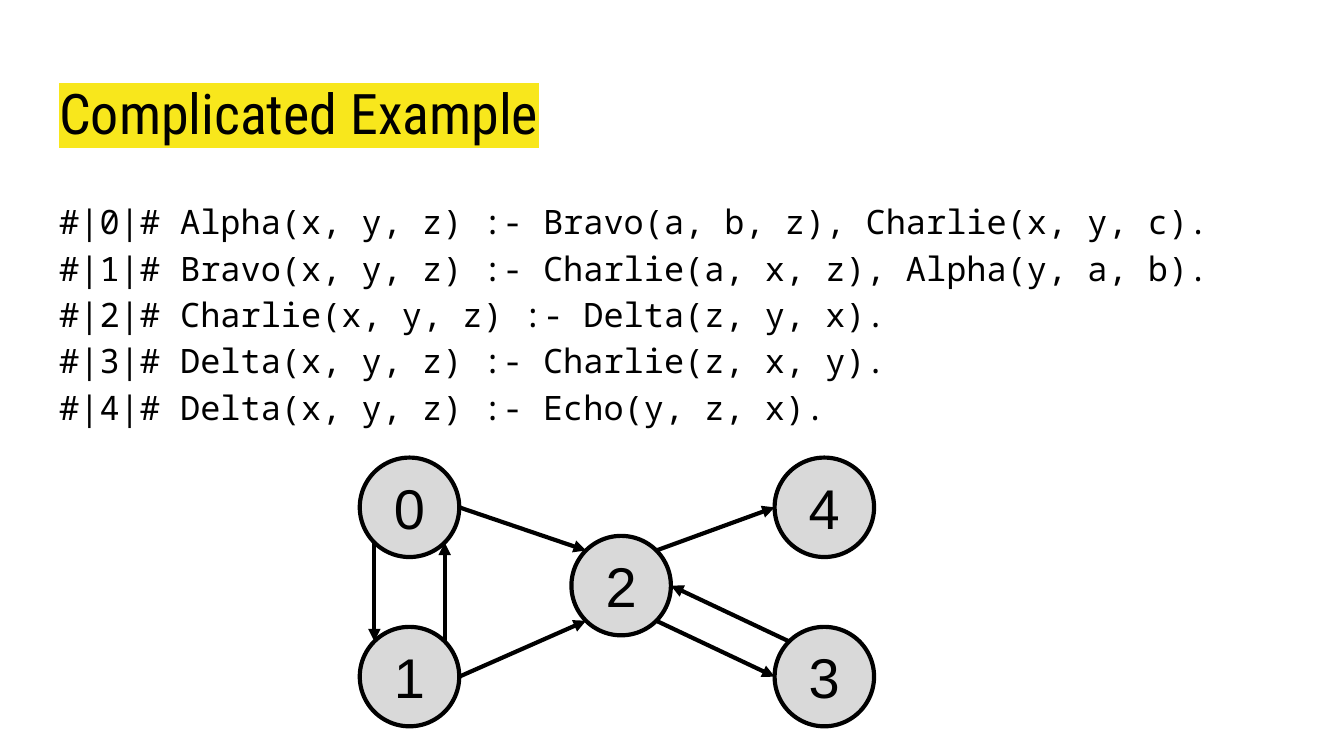
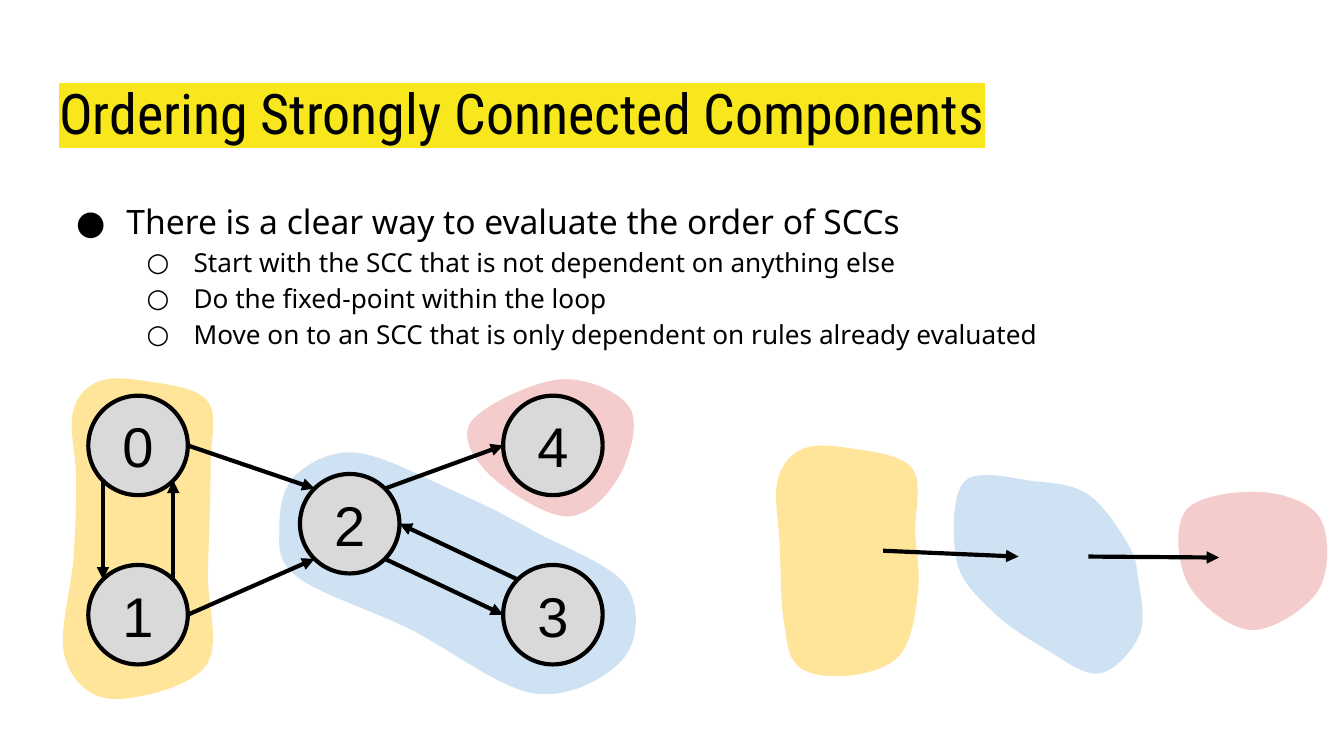
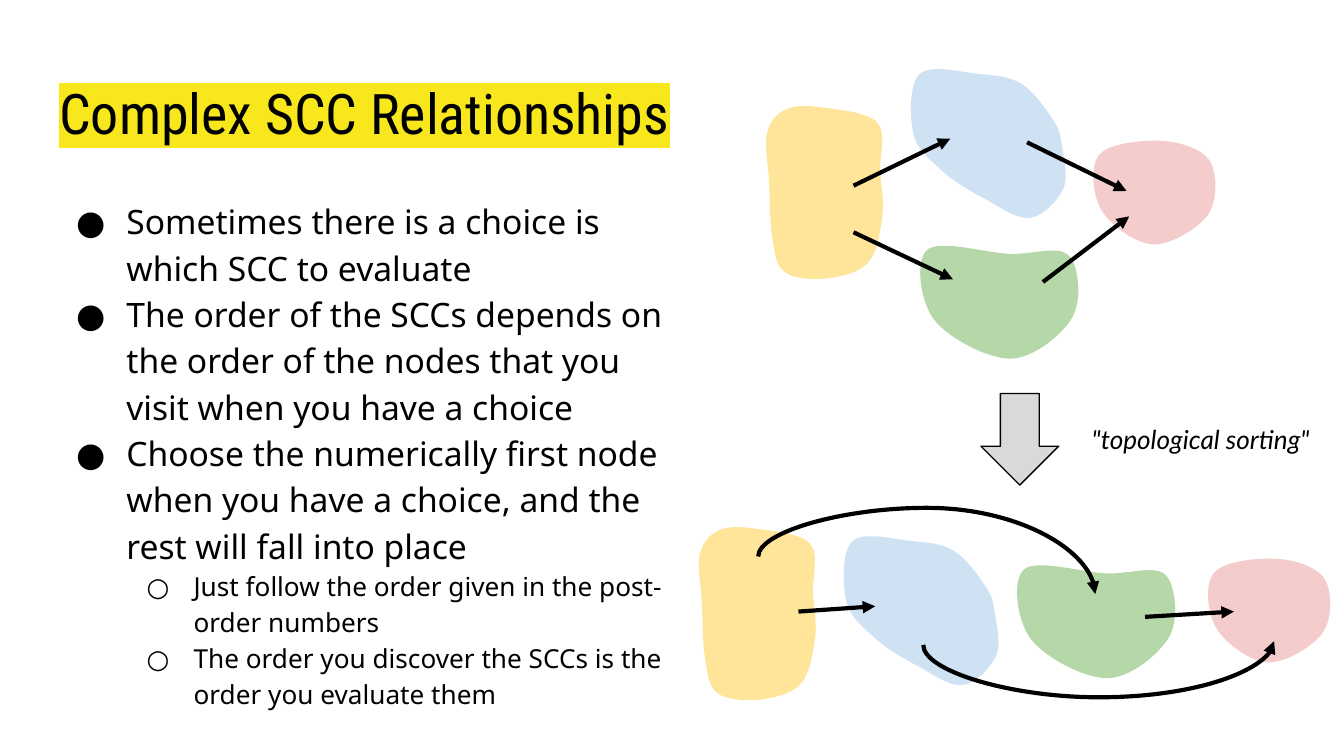
"""Build three slides on ordering strongly connected components."""
import math
from dataclasses import dataclass
from typing import NamedTuple

import pptx
import pptx.dml.color
import pptx.enum.shapes
import pptx.enum.text
import pptx.oxml.ns
import pptx.util
from pptx.util import Cm

ALIGN = pptx.enum.text.PP_ALIGN
ANCHOR = pptx.enum.text.MSO_ANCHOR
SHAPE = pptx.enum.shapes.MSO_SHAPE
CONNECTOR = pptx.enum.shapes.MSO_CONNECTOR
qn = pptx.oxml.ns.qn


@dataclass(frozen=True)
class Theme:
    ink: str = "000000"
    highlight: str = "F8E71C"
    gray: str = "D9D9D9"
    yellow: str = "FFE599"
    blue: str = "CFE2F3"
    pink: str = "F4CCCC"
    green: str = "B6D7A8"
    title_font: str = "Roboto Condensed"
    body_font: str = "Noto Sans"
    code_font: str = "Noto Sans Mono"
    node_font: str = "Arial"
    caption_font: str = "Lato"
    title_size: float = 30
    body_size: float = 18
    small_size: float = 14
    thick: float = 2.25
    thin: float = 0.75


THEME = Theme()


class Point(NamedTuple):
    x: float
    y: float


class Box(NamedTuple):
    left: float
    top: float
    width: float
    height: float


class Bullet(NamedTuple):
    mark: str
    size: float
    margin: float
    hanging: float


class Item(NamedTuple):
    text: str
    level: int = 0


class Edge(NamedTuple):
    source: int
    source_angle: float
    target: int
    target_angle: float


class Arrow(NamedTuple):
    start: Point
    end: Point


class Arc(NamedTuple):
    start: Point
    end: Point
    bulge: float


class Curve(NamedTuple):
    start: Point
    first_control: Point
    second_control: Point
    end: Point


class Outline(NamedTuple):
    color: str
    anchors: list[tuple[float, float]]


class Blob(NamedTuple):
    outline: Outline
    left: float
    top: float


TITLE_BOX = Box(0.87, 1.24, 23.67, 1.6)
BODY_LEFT, BODY_TOP = 0.87, 3.44
BULLETS = [
    Bullet("●", THEME.body_size, 1.27, 0.95),
    Bullet("○", THEME.small_size, 2.54, 0.89),
]

NODE_DIAMETER = 1.88
NODES = [Point(0, 0), Point(0, 3.2), Point(4, 1.48), Point(7.84, 3.2), Point(7.84, 0)]
RIGHT, LOWER_RIGHT, LOWER_LEFT, LEFT, UPPER_LEFT, UPPER_RIGHT = 0, 45, 135, 180, 225, 315
EDGES = [
    Edge(2, UPPER_RIGHT, 4, LEFT),
    Edge(1, RIGHT, 2, LOWER_LEFT),
    Edge(0, RIGHT, 2, UPPER_LEFT),
    Edge(0, LOWER_LEFT, 1, UPPER_LEFT),
    Edge(1, UPPER_RIGHT, 0, LOWER_RIGHT),
    Edge(2, LOWER_RIGHT, 3, LEFT),
    Edge(3, UPPER_LEFT, 2, RIGHT),
]

GROUP_4 = Outline(THEME.pink, [
    (0.08, 0.81), (0.38, 1.8), (1.85, 2.62), (2.84, 1.9), (3.07, 0.58), (1.75, 0.03)])
GROUP_2_3 = Outline(THEME.blue, [
    (0, 1.4), (0.3, 0.43), (1.47, 0), (3.38, 0.76), (4.85, 1.5),
    (6.55, 2.51), (6.5, 3.89), (4.83, 4.55), (2.46, 3.33), (0.33, 2.34)])
GROUP_0_1 = Outline(THEME.yellow, [
    (0.61, 0.1), (0.18, 0.69), (0.25, 1.93), (0.2, 3.4), (0.03, 5.26), (0.91, 6.07),
    (2.69, 5.46), (2.74, 3.68), (2.79, 1.68), (2.72, 0.43), (1.45, 0.05)])
PINK = Outline(THEME.pink, [
    (0.13, 0.38), (0.18, 1.78), (1.37, 2.64), (2.64, 1.88), (2.67, 0.53), (1.55, 0.03)])
BLUE = Outline(THEME.blue, [
    (0.05, 1.63), (0.2, 0.13), (1.55, 0.13), (2.54, 0.38), (3.28, 1.3),
    (3.48, 1.96), (3.51, 3.02), (2.74, 3.76), (1.7, 3.28), (0.71, 2.57)])
YELLOW = Outline(THEME.yellow, [
    (0.46, 0.08), (0.03, 0.69), (0.08, 1.9), (0.15, 3.28), (0.43, 4.17), (1.4, 4.34),
    (2.36, 3.94), (2.69, 2.77), (2.64, 1.65), (2.57, 0.41), (1.3, 0.03)])
GREEN = Outline(THEME.green, [
    (0.15, 0.1), (0.31, 1.86), (2.08, 2.84), (3.5, 1.79), (3.41, 0.24), (2.04, 0.2)])
REDUCED = Point(0.82, 0.75)

RULES = [
    "#|0|# Alpha(x, y, z) :- Bravo(a, b, z), Charlie(x, y, c).",
    "#|1|# Bravo(x, y, z) :- Charlie(a, x, z), Alpha(y, a, b).",
    "#|2|# Charlie(x, y, z) :- Delta(z, y, x).",
    "#|3|# Delta(x, y, z) :- Charlie(z, x, y).",
    "#|4|# Delta(x, y, z) :- Echo(y, z, x).",
]
ORDERING_ITEMS = [
    Item("There is a clear way to evaluate the order of SCCs"),
    Item("Start with the SCC that is not dependent on anything else", 1),
    Item("Do the fixed-point within the loop", 1),
    Item("Move on to an SCC that is only dependent on rules already evaluated", 1),
]
RELATIONSHIP_ITEMS = [
    Item("Sometimes there is a choice is which SCC to evaluate"),
    Item("The order of the SCCs depends on the order of the nodes that you visit "
         "when you have a choice"),
    Item("Choose the numerically first node when you have a choice, and the rest "
         "will fall into place"),
    Item("Just follow the order given in the post-order numbers", 1),
    Item("The order you discover the SCCs is the order you evaluate them", 1),
]


def color(value: str) -> pptx.dml.color.RGBColor:
    return pptx.dml.color.RGBColor.from_string(value)


def add_element(parent, tag: str, **attributes: str):
    element = parent.makeelement(qn(tag), attributes)
    parent.append(element)
    return element


def write_text(paragraph, text: str, *, font: str, size: float, align=ALIGN.LEFT,
               italic: bool = False, spacing: float = 1.0,
               highlight: str | None = None, bullet: Bullet | None = None) -> None:
    paragraph.alignment = align
    paragraph.line_spacing = spacing
    run = paragraph.add_run()
    run.text = text
    run.font.size = pptx.util.Pt(size)
    run.font.italic = italic
    run.font.color.rgb = color(THEME.ink)
    if highlight:
        mark = add_element(run._r.get_or_add_rPr(), "a:highlight")
        add_element(mark, "a:srgbClr", val=highlight)
    run.font.name = font
    if bullet:
        properties = paragraph._p.get_or_add_pPr()
        properties.set("marL", str(Cm(bullet.margin)))
        properties.set("indent", str(-Cm(bullet.hanging)))
        add_element(add_element(properties, "a:buClr"), "a:srgbClr", val=THEME.ink)
        add_element(properties, "a:buFont", typeface=font)
        add_element(properties, "a:buChar", char=bullet.mark)


def prepare_frame(shape, anchor=ANCHOR.TOP):
    frame = shape.text_frame
    frame.word_wrap = True
    frame.auto_size = pptx.enum.text.MSO_AUTO_SIZE.NONE
    frame.vertical_anchor = anchor
    frame.margin_left = frame.margin_right = Cm(0.25)
    frame.margin_top = frame.margin_bottom = Cm(0.25)
    return frame


def add_text_box(slide, box: Box):
    return prepare_frame(slide.shapes.add_textbox(*map(Cm, box)))


def add_titled_slide(presentation, title: str):
    slide = presentation.slides.add_slide(presentation.slide_layouts.get_by_name("Title Only"))
    shape = slide.shapes.title
    shape.left, shape.top, shape.width, shape.height = map(Cm, TITLE_BOX)
    write_text(prepare_frame(shape).paragraphs[0], title, font=THEME.title_font,
               size=THEME.title_size, highlight=THEME.highlight)
    return slide


def add_body(slide, items: list[Item], width: float, height: float, *,
             font: str = THEME.body_font, bulleted: bool = True) -> None:
    frame = add_text_box(slide, Box(BODY_LEFT, BODY_TOP, width, height))
    for index, item in enumerate(items):
        paragraph = frame.add_paragraph() if index else frame.paragraphs[0]
        paragraph.level = item.level
        bullet = BULLETS[item.level]
        write_text(paragraph, item.text, font=font, size=bullet.size, spacing=1.15,
                   bullet=bullet if bulleted else None)


def add_gray_shape(slide, kind, box: Box, line_width: float):
    shape = slide.shapes.add_shape(kind, *map(Cm, box))
    shape.shadow.inherit = False
    shape.fill.solid()
    shape.fill.fore_color.rgb = color(THEME.gray)
    shape.line.color.rgb = color(THEME.ink)
    shape.line.width = pptx.util.Pt(line_width)
    return shape


def style_connector(connector) -> None:
    connector.line.color.rgb = color(THEME.ink)
    connector.line.width = pptx.util.Pt(THEME.thick)
    properties = connector.element.spPr
    add_element(properties.find(qn("a:ln")), "a:tailEnd", type="triangle")
    add_element(properties, "a:effectLst")


def add_arrow(slide, arrow: Arrow) -> None:
    style_connector(slide.shapes.add_connector(
        CONNECTOR.STRAIGHT, *map(Cm, (*arrow.start, *arrow.end))))


def add_arc(slide, arc: Arc) -> None:
    center = Point((arc.start.x + arc.end.x) / 2, (arc.start.y + arc.end.y) / 2)
    rise = abs(arc.end.y - arc.start.y)
    run = arc.end.x - arc.start.x
    left, top = center.x - rise / 2, center.y - run / 2
    connector = slide.shapes.add_connector(
        CONNECTOR.CURVE, *map(Cm, (left, top, left + rise, top + run)))
    style_connector(connector)
    properties = connector.element.spPr
    transform = properties.find(qn("a:xfrm"))
    transform.set("rot", str(270 * 60000))
    if arc.end.y > arc.start.y:
        transform.set("flipH", "1")
    geometry = properties.find(qn("a:prstGeom"))
    adjustments = geometry.find(qn("a:avLst"))
    if adjustments is None:
        adjustments = add_element(geometry, "a:avLst")
    bend = round(-arc.bulge / rise * 100000)
    add_element(adjustments, "a:gd", name="adj1", fmla=f"val {bend}")


def smooth_closed(anchors: list[Point]) -> list[Curve]:
    curves = []
    for index, start in enumerate(anchors):
        before = anchors[index - 1]
        end, after = (anchors[(index + shift) % len(anchors)] for shift in (1, 2))
        curves.append(Curve(
            start,
            Point(start.x + (end.x - before.x) / 6, start.y + (end.y - before.y) / 6),
            Point(end.x - (after.x - start.x) / 6, end.y - (after.y - start.y) / 6),
            end))
    return curves


def curve_bounds(curves: list[Curve], steps: int = 20) -> Box:
    def at(values: tuple[float, ...], t: float) -> float:
        return sum(math.comb(3, power) * (1 - t) ** (3 - power) * t ** power * value
                   for power, value in enumerate(values))

    xs, ys = ([at(values, step / steps) for curve in curves
               for values in [tuple(point[axis] for point in curve)]
               for step in range(steps)] for axis in (0, 1))
    return Box(min(xs), min(ys), max(xs) - min(xs), max(ys) - min(ys))


def add_blob(slide, blob: Blob, scale: Point = Point(1, 1)) -> None:
    anchors = [Point(blob.left + x * scale.x, blob.top + y * scale.y)
               for x, y in blob.outline.anchors]
    curves = smooth_closed(anchors)
    bounds = curve_bounds(curves)
    builder = slide.shapes.build_freeform(*map(Cm, anchors[0]))
    builder.add_line_segments([tuple(map(Cm, anchor)) for anchor in anchors[1:]])
    shape = builder.convert_to_shape()
    shape.left, shape.top, shape.width, shape.height = map(Cm, bounds)
    outline = next(shape.element.iter(qn("a:path")))
    for step in list(outline):
        outline.remove(step)
    outline.set("w", str(Cm(bounds.width)))
    outline.set("h", str(Cm(bounds.height)))

    def add_step(tag: str, points: tuple[Point, ...]) -> None:
        step = add_element(outline, tag)
        for point in points:
            add_element(step, "a:pt", x=str(Cm(point.x - bounds.left)),
                        y=str(Cm(point.y - bounds.top)))

    add_step("a:moveTo", (anchors[0],))
    for curve in curves:
        add_step("a:cubicBezTo", curve[1:])
    add_element(outline, "a:close")
    shape.shadow.inherit = False
    shape.fill.solid()
    shape.fill.fore_color.rgb = color(blob.outline.color)
    shape.line.fill.background()


def add_graph(slide, left: float, top: float) -> None:
    def rim(node: int, angle: float) -> Point:
        radius, turn = NODE_DIAMETER / 2, math.radians(angle)
        return Point(left + NODES[node].x + radius * (1 + math.cos(turn)),
                     top + NODES[node].y + radius * (1 + math.sin(turn)))

    for number, node in enumerate(NODES):
        box = Box(left + node.x, top + node.y, NODE_DIAMETER, NODE_DIAMETER)
        shape = add_gray_shape(slide, SHAPE.OVAL, box, THEME.thick)
        write_text(prepare_frame(shape, ANCHOR.MIDDLE).paragraphs[0], str(number),
                   font=THEME.node_font, size=THEME.title_size, align=ALIGN.CENTER)
    for edge in EDGES:
        add_arrow(slide, Arrow(rim(edge.source, edge.source_angle),
                               rim(edge.target, edge.target_angle)))


def build_example(presentation) -> None:
    slide = add_titled_slide(presentation, "Complicated Example")
    add_body(slide, [Item(rule) for rule in RULES], 23.67, 4.8,
             font=THEME.code_font, bulleted=False)
    add_graph(slide, 6.8, 8.65)


def build_ordering(presentation) -> None:
    slide = add_titled_slide(presentation, "Ordering Strongly Connected Components")
    for blob in (Blob(GROUP_4, 8.84, 7.14), Blob(GROUP_2_3, 5.28, 8.56),
                 Blob(GROUP_0_1, 1.19, 7.14)):
        add_blob(slide, blob)
    add_body(slide, ORDERING_ITEMS, 23.67, 9.27)
    add_graph(slide, 1.67, 7.48)
    for blob in (Blob(PINK, 22.28, 9.27), Blob(BLUE, 18.03, 8.97), Blob(YELLOW, 14.66, 8.43)):
        add_blob(slide, blob)
    for arrow in (Arrow(Point(20.57, 10.52), Point(23.04, 10.54)),
                  Arrow(Point(16.69, 10.41), Point(19.25, 10.52))):
        add_arrow(slide, arrow)


def build_relationships(presentation) -> None:
    slide = add_titled_slide(presentation, "Complex SCC Relationships")
    add_body(slide, RELATIONSHIP_ITEMS, 12.04, 9.27)
    for blob in (Blob(PINK, 20.67, 2.64), Blob(BLUE, 17.22, 1.3),
                 Blob(YELLOW, 14.47, 2.01), Blob(GREEN, 17.4, 4.65),
                 Blob(PINK, 22.84, 10.54), Blob(BLUE, 15.95, 10.13),
                 Blob(YELLOW, 13.2, 9.97), Blob(GREEN, 19.23, 10.69)):
        add_blob(slide, blob, REDUCED)
    for arrow in (Arrow(Point(19.41, 2.69), Point(21.29, 3.61)),
                  Arrow(Point(16.13, 3.51), Point(17.96, 2.62)),
                  Arrow(Point(16.13, 4.39), Point(18.01, 5.28)),
                  Arrow(Point(19.71, 5.33), Point(21.34, 4.09)),
                  Arrow(Point(21.64, 11.66), Point(23.32, 11.56)),
                  Arrow(Point(15.09, 11.56), Point(16.54, 11.46))):
        add_arrow(slide, arrow)
    for arc in (Arc(Point(14.33, 10.52), Point(20.7, 11.23), 0.92),
                Arc(Point(17.45, 12.19), Point(24.08, 12.12), 0.99)):
        add_arc(slide, arc)
    add_gray_shape(slide, SHAPE.DOWN_ARROW, Box(18.54, 7.44, 1.47, 1.73), THEME.thin)
    caption = add_text_box(slide, Box(20.27, 7.75, 4.85, 1.04))
    write_text(caption.paragraphs[0], '"topological sorting"', font=THEME.caption_font,
               size=THEME.small_size, align=ALIGN.CENTER, italic=True)


def main() -> None:
    presentation = pptx.Presentation()
    presentation.slide_width, presentation.slide_height = Cm(25.4), Cm(14.29)
    build_example(presentation)
    build_ordering(presentation)
    build_relationships(presentation)
    presentation.save("out.pptx")


if __name__ == "__main__":
    main()
